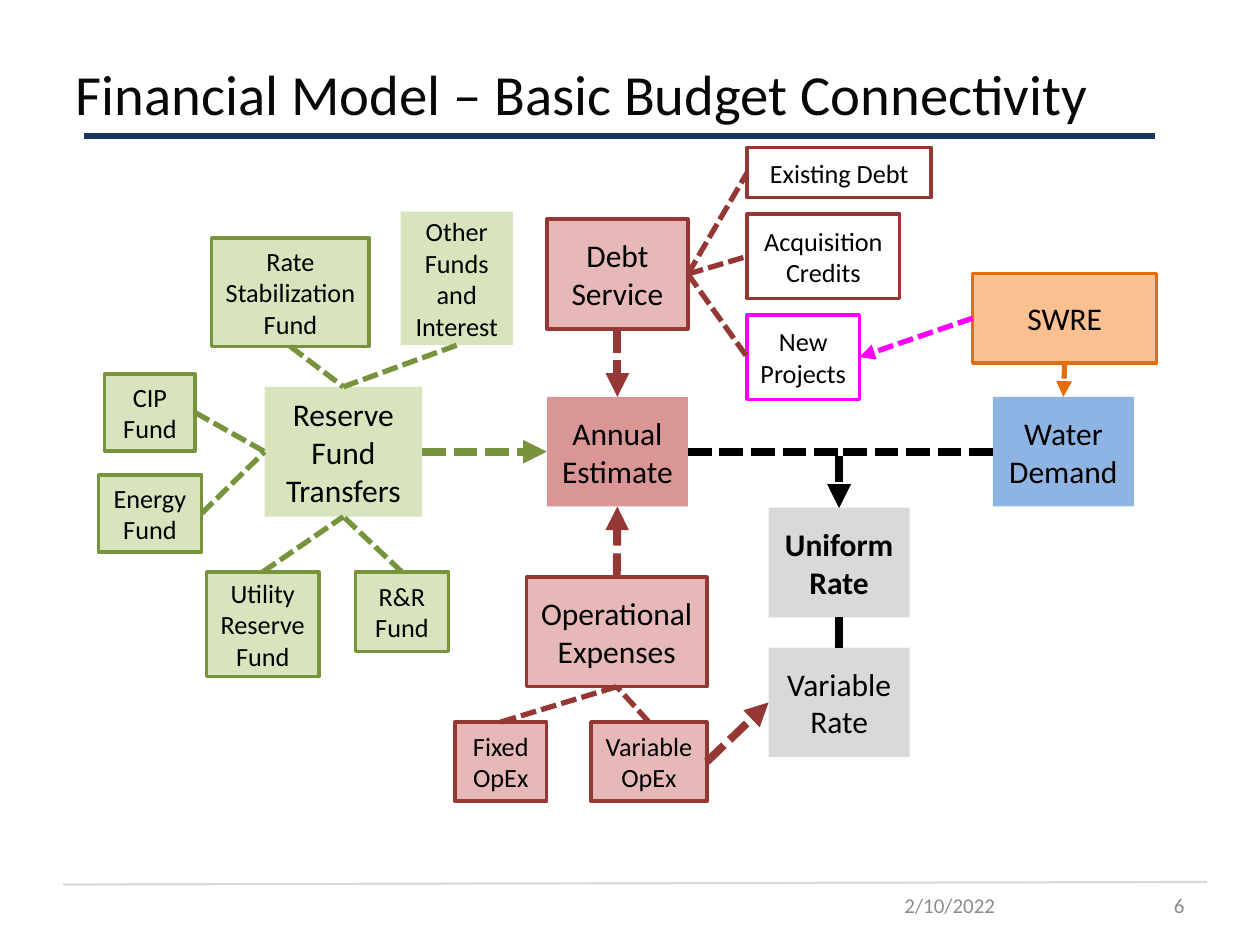
from lxml import etree
from pptx import Presentation
from pptx.dml.color import RGBColor
from pptx.enum.dml import MSO_LINE
from pptx.enum.shapes import MSO_CONNECTOR as CXN, MSO_SHAPE as SHAPE
from pptx.enum.text import MSO_ANCHOR as ANCHOR, MSO_AUTO_SIZE as AUTO, PP_ALIGN as ALIGN
from pptx.oxml.ns import qn
from pptx.util import Inches, Pt

COLORS = {
    "black": "000000", "title": "080808", "navy": "17375E", "white": "FFFFFF",
    "gray": "D9D9D9", "footer": "8C8C8C", "rose": "D99694", "pink": "E6B9B8",
    "red": "953735", "magenta": "FF00FF", "blue": "8EB4E3", "peach": "FAC090",
    "orange": "E46C0A", "lime": "D7E4BD", "green": "77933C",
}
TOP, LEFT, BOTTOM, RIGHT = range(4)
MAIN, SUB = 18, 15
THIN, THICK = 3, 4.5


def rgb(name):
    return RGBColor.from_string(COLORS[name])


class Diagram:
    """Holds the style and the current slide; boxes are found again by their text."""

    font = "Calibri"
    edge_width = 2

    def __init__(self, slide):
        self.slide = slide
        self.boxes = {}

    def add_text(self, s, text, size, color, align=ALIGN.LEFT, bold=False):
        tf = s.text_frame
        tf.word_wrap = True
        tf.auto_size = AUTO.NONE
        tf.vertical_anchor = ANCHOR.MIDDLE
        p = tf.paragraphs[0]
        p.alignment = align
        r = p.add_run()
        r.text = text
        r.font.name, r.font.size, r.font.bold = self.font, Pt(size), bold
        r.font.color.rgb = rgb(color)
        return tf

    def title(self, text, x, y, w, h):
        s = self.slide.shapes.title
        s.left, s.top, s.width, s.height = map(Inches, (x, y, w, h))
        self.add_text(s, text, 32.4, "title")

    def footer(self, text, x, w, align):
        s = self.slide.shapes.add_textbox(*map(Inches, (x, 7.04, w, 0.29)))
        self.add_text(s, text, 12, "footer", align)

    def box(self, text, x, y, w, h, fill, edge=None, size=MAIN, bold=False):
        s = self.slide.shapes.add_shape(SHAPE.RECTANGLE, *map(Inches, (x, y, w, h)))
        s.shadow.inherit = False
        s.fill.solid()
        s.fill.fore_color.rgb = rgb(fill)
        if edge:
            s.line.color.rgb = rgb(edge)
            s.line.width = Pt(self.edge_width)
        else:
            s.line.fill.background()
        tf = self.add_text(s, text, size, "black", ALIGN.CENTER, bold)
        tf.margin_left = tf.margin_right = Inches(0.05)
        self.boxes[text] = s

    def line(self, x1, y1, x2, y2, color, width, kind=CXN.STRAIGHT):
        c = self.slide.shapes.add_connector(kind, *map(Inches, (x1, y1, x2, y2)))
        c.line.color.rgb = rgb(color)
        c.line.width = Pt(width)
        etree.SubElement(c._element.spPr, qn("a:effectLst"))
        return c

    def link(self, start, side1, end, side2, color, width=THIN,
             arrow=False, dashed=True, bent=False):
        """Join the middles of two box sides; a bent link turns one corner."""
        c = self.line(0, 0, 0, 0, color, width, CXN.ELBOW if bent else CXN.STRAIGHT)
        c.begin_connect(self.boxes[start], side1)
        c.end_connect(self.boxes[end], side2)
        if bent:
            c._element.spPr.find(qn("a:prstGeom")).set("prst", "bentConnector2")
        if dashed:
            c.line.dash_style = MSO_LINE.SQUARE_DOT
        if arrow:
            ln = c._element.spPr.find(qn("a:ln"))
            etree.SubElement(ln, qn("a:tailEnd"), type="triangle")


def add_boxes(d):
    w, h = 1.12, 0.87
    d.box("Annual Estimate", 4.34, 3.15, w, h, "rose")
    d.box("Uniform Rate", 6.1, 4.03, w, h, "gray", bold=True)
    d.box("Variable Rate", 6.1, 5.14, w, h, "gray")
    d.box("Debt Service", 4.34, 1.74, w, h, "pink", "red")
    d.box("Water Demand", 7.88, 3.15, w, h, "blue")
    d.box("Operational Expenses", 4.18, 4.58, 1.43, h, "pink", "red")
    d.box("SWRE", 7.72, 2.17, 1.46, 0.71, "peach", "orange")
    d.box("Reserve Fund Transfers", 2.1, 3.07, 1.25, 1.03, "lime")

    for text, x, y, w, h, fill, edge in [
        ("Existing Debt", 5.93, 1.17, 1.46, 0.4, "white", "red"),
        ("Acquisition Credits", 5.93, 1.7, 1.21, 0.67, "white", "red"),
        ("New Projects", 5.93, 2.5, 0.89, 0.67, "white", "magenta"),
        ("Fixed OpEx", 3.61, 5.73, 0.73, 0.63, "pink", "red"),
        ("Variable OpEx", 4.69, 5.73, 0.92, 0.63, "pink", "red"),
        ("Rate Stabilization Fund", 1.68, 1.89, 1.25, 0.86, "lime", "green"),
        ("Other Funds and Interest", 3.18, 1.68, 0.89, 1.06, "lime", None),
        ("CIP Fund", 0.83, 2.97, 0.72, 0.61, "lime", "green"),
        ("Energy Fund", 0.78, 3.77, 0.82, 0.61, "lime", "green"),
        ("Utility Reserve Fund", 1.64, 4.54, 0.89, 0.83, "lime", "green"),
        ("R&R Fund", 2.82, 4.54, 0.74, 0.63, "lime", "green"),
    ]:
        d.box(text, x, y, w, h, fill, edge, SUB)


def add_links(d):
    for debt in ("Existing Debt", "Acquisition Credits", "New Projects"):
        d.link("Debt Service", RIGHT, debt, LEFT, "red")
    for opex in ("Fixed OpEx", "Variable OpEx"):
        d.link(opex, TOP, "Operational Expenses", BOTTOM, "red")
    for fund, side, reserve_side in [
        ("Rate Stabilization Fund", BOTTOM, TOP),
        ("Other Funds and Interest", BOTTOM, TOP),
        ("CIP Fund", RIGHT, LEFT),
        ("Energy Fund", RIGHT, LEFT),
        ("Utility Reserve Fund", TOP, BOTTOM),
        ("R&R Fund", TOP, BOTTOM),
    ]:
        d.link(fund, side, "Reserve Fund Transfers", reserve_side, "green")

    for start, side1, end, side2, color, width in [
        ("Debt Service", BOTTOM, "Annual Estimate", TOP, "red", THICK),
        ("Operational Expenses", TOP, "Annual Estimate", BOTTOM, "red", THICK),
        ("Reserve Fund Transfers", RIGHT, "Annual Estimate", LEFT, "green", THICK),
        ("Variable OpEx", RIGHT, "Variable Rate", LEFT, "red", THICK),
        ("SWRE", LEFT, "New Projects", RIGHT, "magenta", THIN),
        ("SWRE", BOTTOM, "Water Demand", TOP, "orange", THIN),
    ]:
        d.link(start, side1, end, side2, color, width, arrow=True)

    for start, side in (("Annual Estimate", RIGHT), ("Water Demand", LEFT)):
        d.link(start, side, "Uniform Rate", TOP, "black", THICK, arrow=True, bent=True)
    d.link("Uniform Rate", BOTTOM, "Variable Rate", TOP, "black", THICK, dashed=False)


def main():
    prs = Presentation()
    prs.slide_width, prs.slide_height = Inches(10), Inches(7.5)
    d = Diagram(prs.slides.add_slide(prs.slide_layouts[5]))

    d.line(0.5, 7.02, 9.58, 7, "gray", 1.25)
    d.footer("2/10/2022", 7.08, 1.08, ALIGN.LEFT)
    d.footer("6", 8.25, 1.25, ALIGN.RIGHT)
    d.title("Financial Model – Basic Budget Connectivity", 0.5, 0.3, 9, 0.87)
    d.line(0.67, 1.08, 9.17, 1.08, "navy", 3)
    add_boxes(d)
    add_links(d)

    prs.save("out.pptx")


if __name__ == "__main__":
    main()
